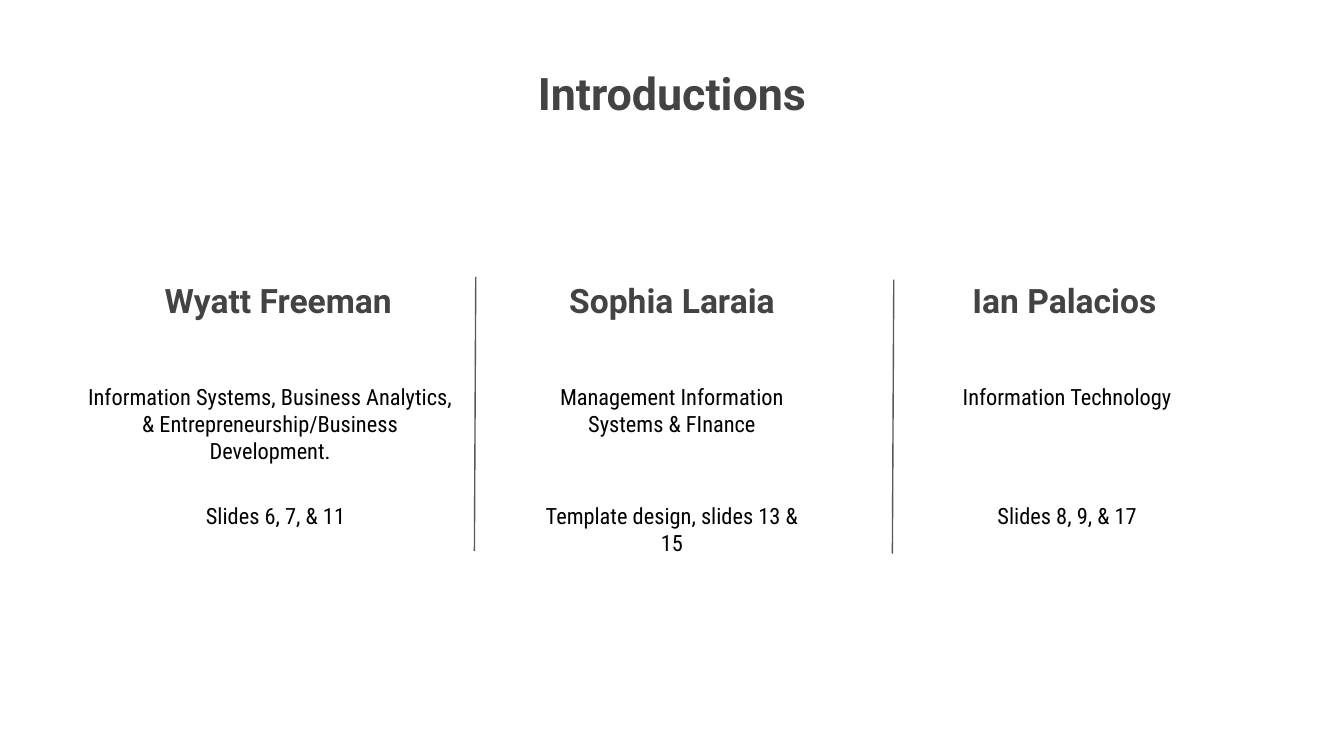
from pptx import Presentation
from pptx import util as u
from pptx.dml.color import RGBColor
from pptx.enum import shapes, text
from pptx.oxml.ns import qn
from lxml import etree

HUES = {"head": "434343", "body": "000000", "rule": "595959"}
FORMS = {
    "title": {"size": u.Pt(24), "name": "Roboto", "bold": True},
    "name": {"size": u.Pt(18), "name": "Roboto", "bold": True},
    "body": {"size": u.Pt(12), "name": "Roboto Condensed", "bold": False},
}

deck = Presentation()
deck.slide_width = u.Inches(10)
deck.slide_height = u.Inches(10 * 9 / 16)
slide = deck.slides.add_slide(deck.slide_layouts[6])


def write(words, form, hue, left, top, width, height, anchor="TOP"):
    box = slide.shapes.add_textbox(*map(u.Inches, (left, top, width, height)))
    frame = box.text_frame
    frame.word_wrap = True
    frame.vertical_anchor = text.MSO_ANCHOR[anchor]
    for side in ("left", "top", "right", "bottom"):
        setattr(frame, "margin_" + side, u.Inches(0.1))
    para = frame.paragraphs[0]
    para.alignment = text.PP_ALIGN.CENTER
    run = para.add_run()
    run.text = words
    for key, value in FORMS[form].items():
        setattr(run.font, key, value)
    run.font.color.rgb = RGBColor.from_string(HUES[hue])


write("Introductions", "title", "head", 2.15, 0.39, 5.7, 1.03)

people = [
    ("Wyatt Freeman", 0.61,
     "Information Systems, Business Analytics, & Entrepreneurship/Business Development.",
     0.55, 2.92, "Slides 6, 7, & 11 ", 0.95),
    ("Sophia Laraia", 3.54, "Management Information Systems & FInance",
     3.88, 2.24, "Template design, slides 13 & 15", 3.88),
    ("Ian Palacios", 6.46, "Information Technology",
     6.82, 2.24, "Slides 8, 9, & 17 ", 6.84),
]
for name, left, field, start, width, task, edge in people:
    write(name, "name", "head", left, 2.01, 2.92, 0.47, "BOTTOM")
    write(field, "body", "body", start, 2.75, width, 0.71)
    write(task, "body", "body", edge, 3.64, 2.24, 0.47)

for x, y in ((3.54, 2.06), (6.65, 2.08)):
    ends = map(u.Inches, (x, y, x - 0.01, y + 2.04))
    rule = slide.shapes.add_connector(shapes.MSO_CONNECTOR.STRAIGHT, *ends)
    rule.line.width = u.Pt(0.75)
    rule.line.color.rgb = RGBColor.from_string(HUES["rule"])
    etree.SubElement(rule._element.spPr, qn("a:effectLst"))

deck.save("out.pptx")
